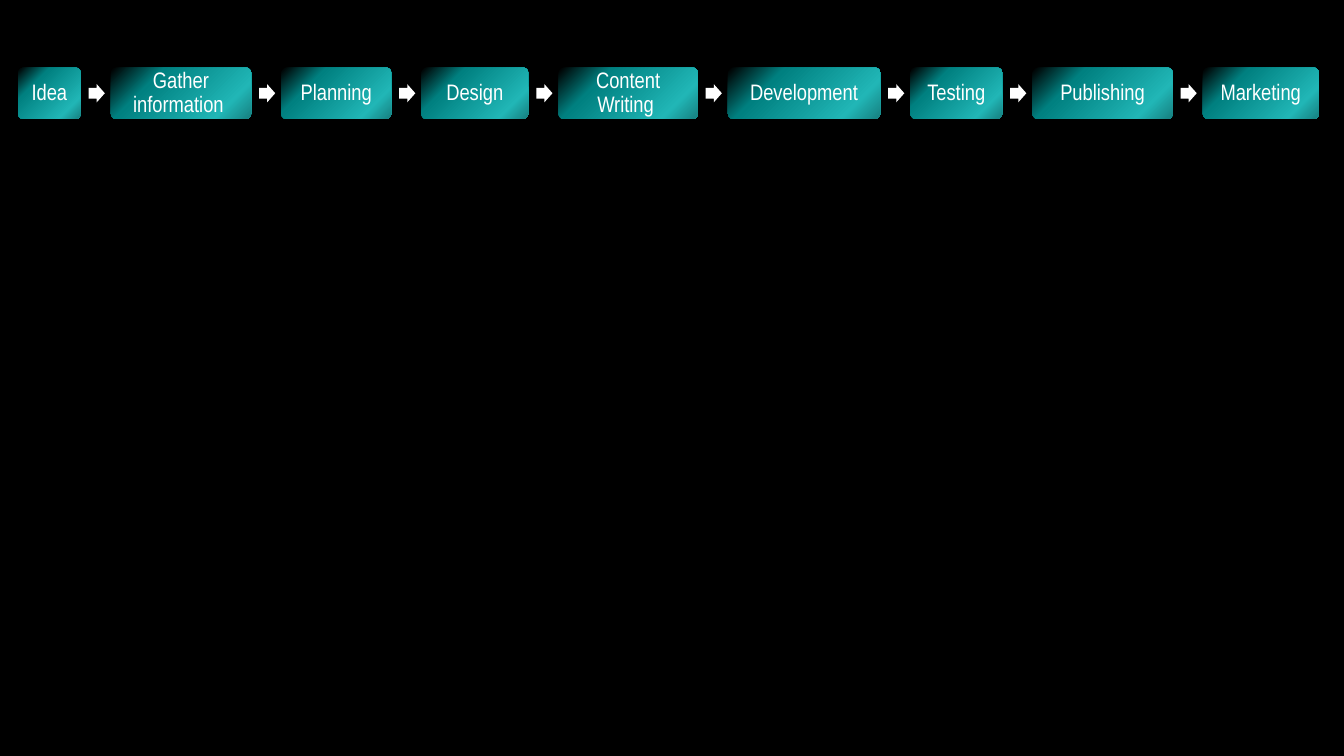
"""Draws a nine-step website process as a row of boxes joined by block arrows."""
from pptx import Presentation, oxml
from pptx import util as u
from pptx.dml.color import RGBColor
from pptx.enum import shapes, text
from pptx.oxml import ns

THEME = {
    "background": "000000",
    "ink": "FFFFFF",
    "font": "Arial Narrow",
    "size": 16,
    "glow": [(0, "178080"), (19, "21B6B6"), (72, "008080"), (99, "000000")],
}
STEPS = [
    ("Idea", 62),
    ("Gather information ", 139),
    ("Planning", 109),
    ("Design", 106),
    ("Content Writing ", 138),
    ("Development", 151),
    ("Testing", 91),
    ("Publishing", 139),
    ("Marketing", 115),
]
CELL = u.Inches(0.01)
LEFT, TOP, HEIGHT, GAP = 18, 67, 51, 30
ARROW_OFFSET, ARROW_WIDTH, ARROW_HEIGHT = 8, 16, 18

deck = Presentation()
deck.slide_width, deck.slide_height = u.Inches(13.33), u.Inches(7.5)
process = deck.slides.add_slide(deck.slide_layouts[6])
process.background.fill.solid()
process.background.fill.fore_color.rgb = RGBColor.from_string(THEME["background"])


def add_block(preset, column, row, columns, rows, adjustments):
    """Add a preset shape on the grid, without line or shadow."""
    block = process.shapes.add_shape(
        preset, *(round(n * CELL) for n in (column, row, columns, rows)))
    for index, value in enumerate(adjustments):
        block.adjustments[index] = value
    block.line.fill.background()
    block.shadow.inherit = False
    return block


def glow_fill():
    """Return a radial gradient that spreads from the lower right corner."""
    stops = "".join(
        f'<a:gs pos="{share * 1000}"><a:srgbClr val="{colour}"/></a:gs>'
        for share, colour in THEME["glow"])
    return oxml.parse_xml(
        f'<a:gradFill {ns.nsdecls("a")} rotWithShape="1"><a:gsLst>{stops}</a:gsLst>'
        '<a:path path="circle"><a:fillToRect l="100000" t="100000"/></a:path>'
        '</a:gradFill>')


column = LEFT
for number, (label, width) in enumerate(STEPS, start=1):
    step = add_block(shapes.MSO_SHAPE.ROUNDED_RECTANGLE, column, TOP, width, HEIGHT, [0.1])
    step.fill.gradient()
    properties = step.element.spPr
    properties.replace(properties.find(ns.qn("a:gradFill")), glow_fill())

    frame = step.text_frame
    frame.word_wrap = True
    frame.vertical_anchor = text.MSO_ANCHOR.MIDDLE
    frame.margin_left = frame.margin_right = u.Inches(0.07)
    frame.margin_top = frame.margin_bottom = u.Inches(0.07)
    frame.text = label
    caption = frame.paragraphs[0]
    caption.alignment = text.PP_ALIGN.CENTER
    caption.line_spacing = 0.9
    caption.font.name = THEME["font"]
    caption.font.size = u.Pt(THEME["size"])
    caption.font.color.rgb = RGBColor.from_string(THEME["ink"])

    column += width
    if number < len(STEPS):
        arrow = add_block(
            shapes.MSO_SHAPE.RIGHT_ARROW, column + ARROW_OFFSET,
            TOP + (HEIGHT - ARROW_HEIGHT) / 2, ARROW_WIDTH, ARROW_HEIGHT, [0.6, 0.5])
        arrow.fill.solid()
        arrow.fill.fore_color.rgb = RGBColor.from_string(THEME["ink"])
    column += GAP

deck.save("out.pptx")
